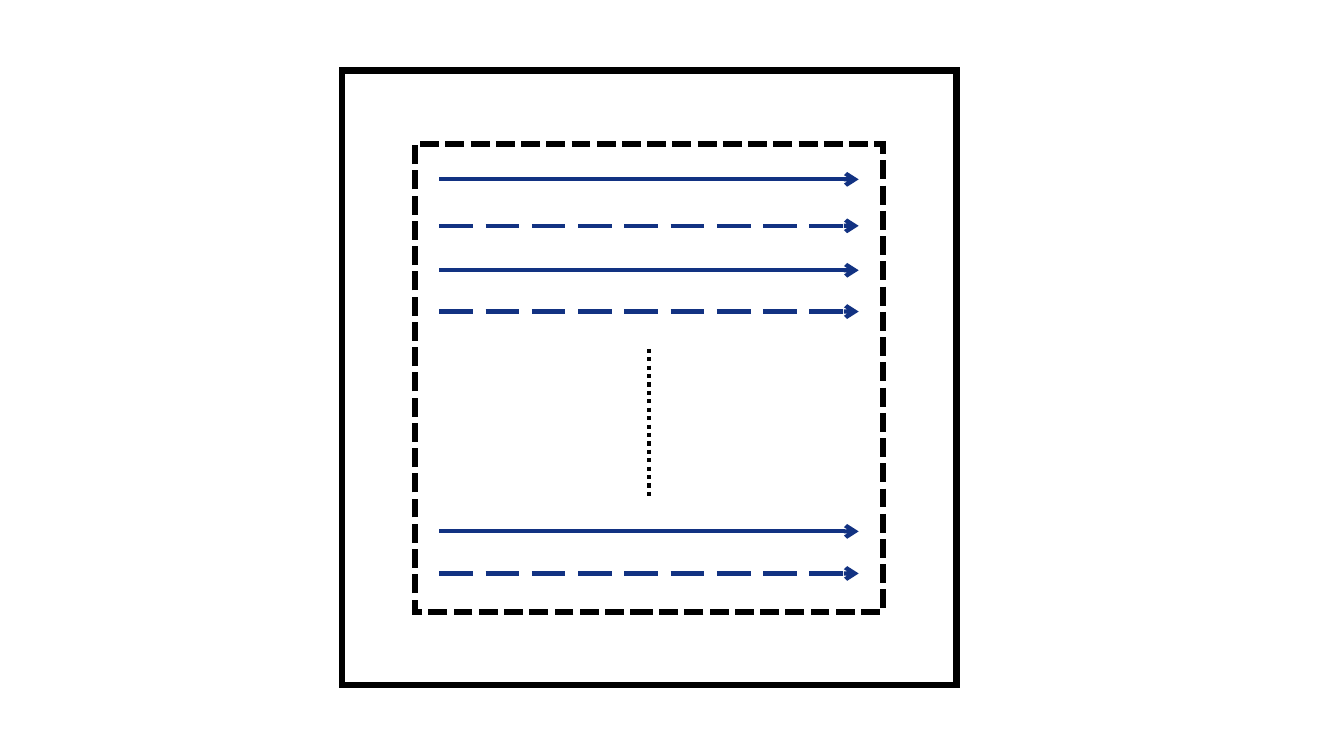
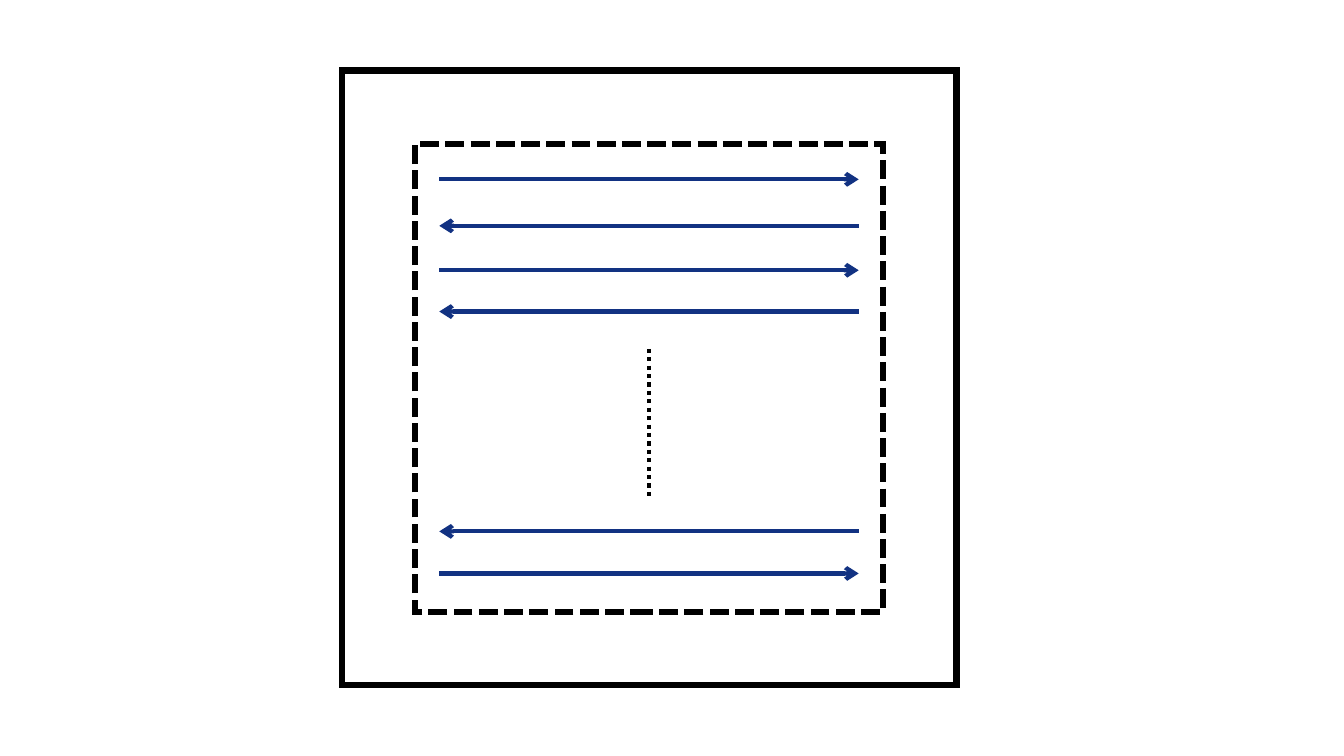
"""Build two slides of scan patterns: one-way lines and back-and-forth lines."""
from pptx import Presentation
from pptx.dml.color import RGBColor
from pptx.enum import dml, shapes
from pptx.oxml.ns import qn
from pptx.util import Cm, Pt
from lxml import etree

COLORS = {"frame": "000000", "paper": "FFFFFF", "scan": "123282"}
SOLID, LONG = dml.MSO_LINE.SOLID, dml.MSO_LINE.LONG_DASH
DASH, DOT = dml.MSO_LINE.SQUARE_DOT, dml.MSO_LINE.ROUND_DOT

CENTER_X, CENTER_Y = 16.36, 9.52
FRAMES = [(15.49, SOLID), (11.79, DASH)]
LEFT, RIGHT = 11.07, 21.64
ROWS = [4.52, 5.69, 6.81, 7.85, 13.39, 14.45]
SLIDES = [
    [(True, SOLID), (True, LONG)] * 3,
    [(True, SOLID), (False, SOLID)] * 2 + [(False, SOLID), (True, SOLID)],
]


def set_line(sp, color, width, dash):
    sp.line.color.rgb = RGBColor.from_string(COLORS[color])
    sp.line.width = Pt(width)
    sp.line.dash_style = dash
    return sp.line._get_or_add_ln()


def add_line(s, x1, y1, x2, y2, color, dash):
    sp = s.shapes.add_connector(
        shapes.MSO_CONNECTOR.STRAIGHT, Cm(x1), Cm(y1), Cm(x2), Cm(y2))
    ln = set_line(sp, color, 3, dash)
    etree.SubElement(sp._element.spPr, qn("a:effectLst"))
    return ln


prs = Presentation()
prs.slide_width, prs.slide_height = Cm(33.87), Cm(19.05)

for rows in SLIDES:
    s = prs.slides.add_slide(prs.slide_layouts[6])

    for size, dash in FRAMES:
        sp = s.shapes.add_shape(
            shapes.MSO_SHAPE.RECTANGLE, Cm(CENTER_X - size / 2),
            Cm(CENTER_Y - size / 2), Cm(size), Cm(size))
        sp.shadow.inherit = False
        sp.fill.solid()
        sp.fill.fore_color.rgb = RGBColor.from_string(COLORS["paper"])
        ln = set_line(sp, "frame", 4.5, dash)
        etree.SubElement(ln, qn("a:miter"), lim="800000")

    for y, (rightward, dash) in zip(ROWS, rows):
        start, end = (LEFT, RIGHT) if rightward else (RIGHT, LEFT)
        ln = add_line(s, start, y, end, y, "scan", dash)
        etree.SubElement(ln, qn("a:tailEnd"), type="arrow")

    add_line(s, CENTER_X, 8.79, CENTER_X, 12.6, "frame", DOT)

prs.save("out.pptx")
